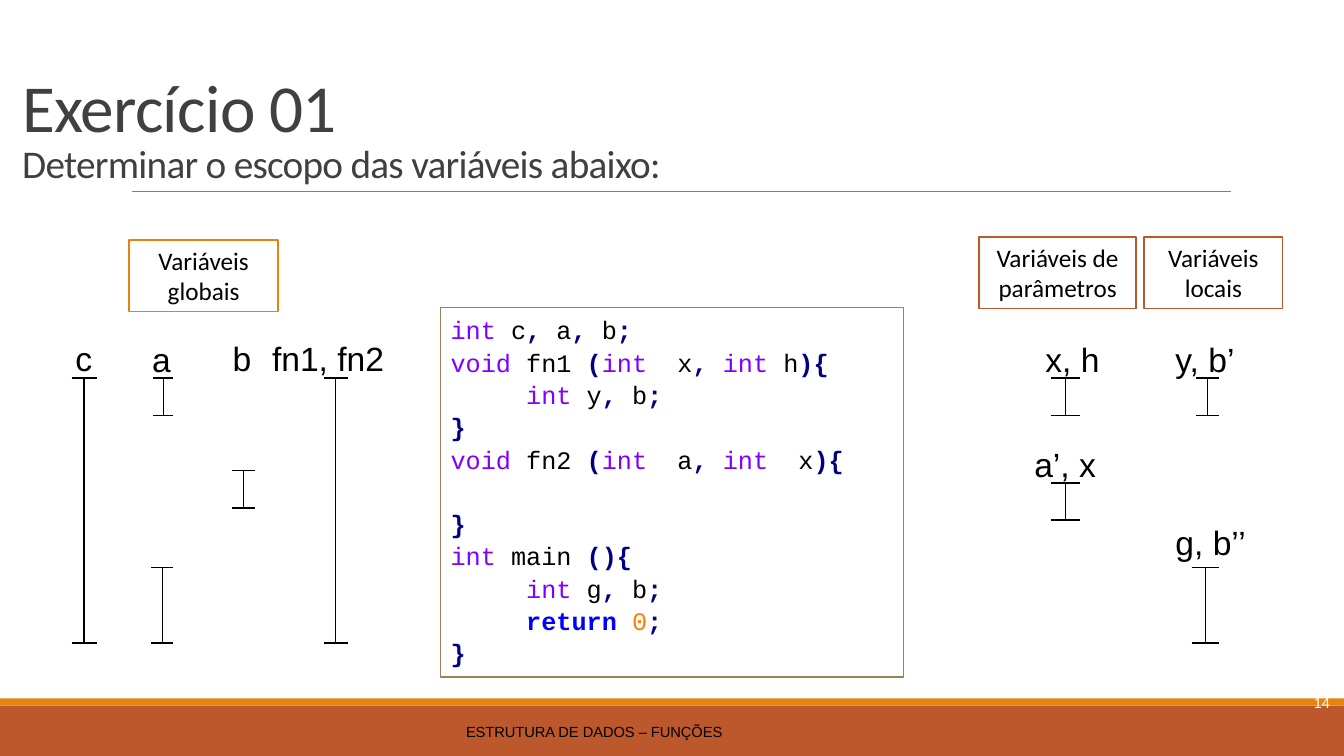
import itertools
import pptx
import pptx.dml.color
import pptx.enum.shapes
import pptx.enum.text
import pptx.oxml
import pptx.oxml.ns
import pptx.util

Inches, Pt = pptx.util.Inches, pptx.util.Pt
ALIGN, ANCHOR = pptx.enum.text.PP_ALIGN, pptx.enum.text.MSO_ANCHOR
FIT = pptx.enum.text.MSO_AUTO_SIZE

COLORS = {
    "rust": "BD582C", "orange": "E48312", "olive": "9B8357", "gray": "808080",
    "title": "404040", "black": "000000", "white": "FFFFFF",
    "type": "8000FF", "mark": "000080", "return": "0000FF", "number": "FF8000",
}

# Content
TITLE = [("Exercício 01", 48), ("Determinar o escopo das variáveis abaixo:", 28)]
FOOTER, NUMBER = "ESTRUTURA DE DADOS – FUNÇÕES", "14"
HEADINGS = [  # text, left, top, width, border
    ("Variáveis de parâmetros", 9.71, 2.35, 1.56, "rust"),
    ("Variáveis locais", 11.35, 2.35, 1.37, "rust"),
    ("Variáveis globais", 1.28, 2.38, 1.48, "orange"),
]
FN1, FN2, MAIN, ALL = (3.75, 4.12), (4.79, 5.16), (5.63, 6.38), (3.75, 6.38)
SCOPES = [  # label, label box, bars as (left, right, (top, bottom))
    ("c", (0.65, 3.3, 0.37), [(0.71, 0.96, ALL)]),
    ("a", (1.41, 3.31, 0.39), [(1.52, 1.72, FN1), (1.5, 1.72, MAIN)]),
    ("b", (2.21, 3.3, 0.39), [(2.3, 2.53, (4.67, 5.04))]),
    ("fn1, fn2", (2.6, 3.3, 1.7), [(3.21, 3.45, ALL)]),
    ("x, h", (10.27, 3.31, 0.74), [(10.42, 10.71, FN1)]),
    ("a’, x", (10.16, 4.35, 0.82), [(10.42, 10.71, FN2)]),
    ("y, b’", (11.56, 3.31, 0.79), [(11.86, 12.09, FN1)]),
    ("g, b’’", (11.56, 5.13, 0.91), [(11.82, 12.09, MAIN)]),
]
CODE = [  # indent in characters, text, blank lines before
    (0, "int c, a, b;", 0),
    (0, "void fn1 (int  x, int h){", 0),
    (5, "int y, b;", 0),
    (0, "}", 0),
    (0, "void fn2 (int  a, int  x){", 0),
    (0, "}", 1),
    (0, "int main (){", 0),
    (5, "int g, b;", 0),
    (5, "return 0;", 0),
    (0, "}", 0),
]
KEYWORDS = {"int": "type", "void": "type", "return": "return", "0": "number"}
CHAR_WIDTH, LINE_HEIGHT = 0.15, 23

prs = pptx.Presentation()
prs.slide_width, prs.slide_height = Inches(13.33), Inches(7.5)
slide = prs.slides.add_slide(prs.slide_layouts[5])


def rgb(name):
    return pptx.dml.color.RGBColor.from_string(COLORS[name])


def set_all(obj, **values):
    for name, value in values.items():
        setattr(obj, name, value)


def add_run(p, text, size, color="black", font="Arial", bold=False):
    r = p.add_run()
    r.text = text
    set_all(r.font, size=Pt(size), name=font, bold=bold)
    r.font.color.rgb = rgb(color)
    return r


def add_box(at, fill, border=None):
    sp = slide.shapes.add_shape(pptx.enum.shapes.MSO_SHAPE.RECTANGLE, *map(Inches, at))
    sp.shadow.inherit = False
    sp.fill.solid()
    sp.fill.fore_color.rgb = rgb(fill)
    if border:
        sp.line.color.rgb, sp.line.width = rgb(border), Pt(1.25)
    else:
        sp.line.fill.background()
    return sp


def add_text(at, text, size, color="black", align=ALIGN.LEFT, **frame):
    tf = slide.shapes.add_textbox(*map(Inches, at)).text_frame
    set_all(tf, **frame)
    tf.paragraphs[0].alignment = align
    add_run(tf.paragraphs[0], text, size, color)


def add_line(x1, y1, x2, y2, color="black", width=1):
    kind = pptx.enum.shapes.MSO_CONNECTOR.STRAIGHT
    line = slide.shapes.add_connector(kind, *map(Inches, (x1, y1, x2, y2)))
    line.line.color.rgb, line.line.width = rgb(color), Pt(width)
    tag = pptx.oxml.ns.qn("a:effectLst")
    line._element.spPr.append(line._element.spPr.makeelement(tag, {}))


def char_kind(ch):
    return "word" if ch.isalnum() else "space" if ch.isspace() else "mark"


# Footer bands and title rule
add_box((0, 7, 13.33, 0.5), "rust")
add_box((0, 6.93, 13.33, 0.07), "orange")
add_line(1.31, 1.9, 12.21, 1.9, "gray", 0.5)

# Title
title = slide.shapes.title
set_all(title, left=Inches(0.12), top=Inches(0.31), width=Inches(13.1), height=Inches(1.59))
tf = title.text_frame
set_all(tf, vertical_anchor=ANCHOR.BOTTOM, word_wrap=True, auto_size=FIT.NONE)
p = tf.paragraphs[0]
set_all(p, alignment=ALIGN.LEFT, line_spacing=0.85)
for i, (text, size) in enumerate(TITLE):
    if i:
        p.add_line_break()
    r = add_run(p, text, size, "title", "Calibri")
    r.font._element.set("spc", "-50")

# Footer text and slide number
footer = dict(word_wrap=True, vertical_anchor=ANCHOR.MIDDLE)
add_text((0.12, 7.06, 11.55, 0.4), FOOTER, 10.5, align=ALIGN.CENTER, **footer)
add_text((11.86, 6.77, 1.43, 0.4), NUMBER, 10.5, "white", ALIGN.RIGHT, **footer)

# Scope bars with their labels
for label, (x, y, w), bars in SCOPES:
    for left, right, (top, bottom) in bars:
        middle = (left + right) / 2
        add_line(left, top, right, top)
        add_line(left, bottom, right, bottom)
        add_line(middle, top, middle, bottom)
    add_text((x, y, w, 0.5), label, 24, word_wrap=False, auto_size=FIT.SHAPE_TO_FIT_TEXT)

# Column headings
for text, x, y, w, border in HEADINGS:
    tf = add_box((x, y, w, 0.71), "white", border).text_frame
    set_all(tf, word_wrap=True, vertical_anchor=ANCHOR.TOP)
    tf.paragraphs[0].alignment = ALIGN.CENTER
    add_run(tf.paragraphs[0], text, 18, font="Calibri")

# Code listing
tf = add_box((4.37, 3.05, 4.59, 3.67), "white", "olive").text_frame
set_all(tf, word_wrap=True, vertical_anchor=ANCHOR.TOP)
for i, (indent, text, blanks) in enumerate(CODE):
    p = tf.add_paragraph() if i else tf.paragraphs[0]
    set_all(p, alignment=ALIGN.LEFT, line_spacing=1.07, space_before=Pt(blanks * LINE_HEIGHT))
    p._p.get_or_add_pPr().set("marL", str(Inches(indent * CHAR_WIDTH)))
    for kind, chars in itertools.groupby(text, char_kind):
        token = "".join(chars)
        color = "mark" if kind == "mark" else KEYWORDS.get(token, "black")
        add_run(p, token, 18, color, "Courier New", color in ("mark", "return"))

prs.save("out.pptx")
